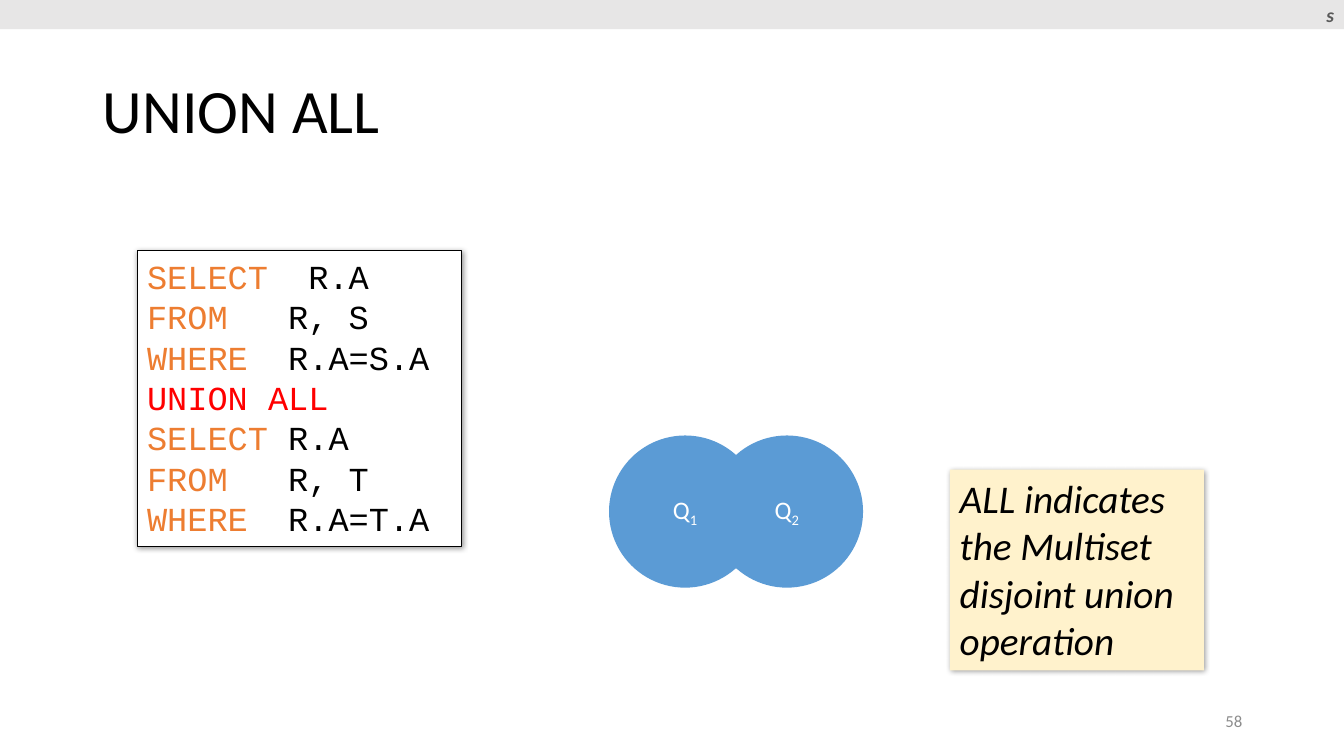
import pptx
import pptx.util
import pptx.dml.color
import pptx.enum.shapes
import pptx.enum.text
import pptx.oxml
import pptx.oxml.ns

Inch = pptx.util.Inches
Kind = pptx.enum.shapes.MSO_SHAPE
Side = pptx.enum.text.PP_ALIGN
Hold = pptx.enum.text.MSO_ANCHOR


class Theme:
    sans, mono = "Calibri", "Courier New"
    black, white, red = "000000", "FFFFFF", "FF0000"
    key, blue, cream = "ED7D31", "5B9BD5", "FFF2CC"
    band, dark, gray = "E7E6E6", "595959", "8C8C8C"
    title, note, code, label, mark, page = 44, 28, 24, 18, 14, 12


def style(run, size, color, face=Theme.sans, bold=False, slant=False):
    font = run.font
    font.name, font.size = face, pptx.util.Pt(size)
    font.bold, font.italic = bold, slant
    font.color.rgb = pptx.dml.color.RGBColor.from_string(color)


def draw(home, kind, box, fill, line=None, lift=False):
    shape = home.add_shape(kind, *[Inch(n) for n in box])
    shape.shadow.inherit = False
    shape.fill.solid()
    shape.fill.fore_color.rgb = pptx.dml.color.RGBColor.from_string(fill)
    if line:
        shape.line.color.rgb = pptx.dml.color.RGBColor.from_string(line)
        shape.line.width = pptx.util.Pt(0.75)
    else:
        shape.line.fill.background()
    if lift:
        glow = shape._element.spPr.find(pptx.oxml.ns.qn("a:effectLst"))
        glow.append(pptx.oxml.parse_xml(
            f'<a:outerShdw {pptx.oxml.ns.nsdecls("a")} blurRad="50800" dist="12700" '
            f'dir="2700000" algn="tl" rotWithShape="0"><a:srgbClr val="{Theme.black}">'
            '<a:alpha val="40000"/></a:srgbClr></a:outerShdw>'))
    shape.text_frame.word_wrap = True
    return shape


deck = pptx.Presentation()
wide, high = 13.33, 7.5
deck.slide_width, deck.slide_height = Inch(wide), Inch(high)
slide = deck.slides.add_slide(deck.slide_layouts[5])
shapes = slide.shapes

# Title
title = shapes.title
title.left, title.top = Inch(0.92), Inch(0.4)
title.width, title.height = Inch(11.5), Inch(1.45)
title.text_frame.text = "UNION ALL"
title.text_frame.vertical_anchor = Hold.MIDDLE
head = title.text_frame.paragraphs[0]
head.alignment, head.line_spacing = Side.LEFT, 0.9
style(head.runs[0], Theme.title, Theme.black)

# Page number
page = shapes.add_textbox(Inch(9.42), Inch(6.95), Inch(3), Inch(0.4)).text_frame
page.word_wrap = True
page.vertical_anchor = Hold.MIDDLE
page.text = "58"
page.paragraphs[0].alignment = Side.RIGHT
style(page.paragraphs[0].runs[0], Theme.page, Theme.gray)

# Query: keyword and the rest of each line
query = [
    ("SELECT", "  R.A"),
    ("FROM", "   R, S"),
    ("WHERE", "  R.A=S.A"),
    ("UNION ALL", ""),
    ("SELECT", " R.A"),
    ("FROM", "   R, T"),
    ("WHERE", "  R.A=T.A"),
]
code = draw(shapes, Kind.RECTANGLE, (1.36, 2.49, 3.22, 2.93),
            Theme.white, Theme.black, lift=True).text_frame
code.vertical_anchor = Hold.TOP
for row, (word, rest) in enumerate(query):
    line = code.add_paragraph() if row else code.paragraphs[0]
    line.alignment = Side.LEFT
    line.text = word
    style(line.runs[0], Theme.code, Theme.key if rest else Theme.red, Theme.mono)
    if rest:
        tail = line.add_run()
        tail.text = rest
        style(tail, Theme.code, Theme.black, Theme.mono)

# Overlapping query results
size, step = 1.51, 1.01
pair = shapes.add_group_shape()
for col in range(2):
    disc = draw(pair.shapes, Kind.OVAL, (6.04 + col * step, 4.32, size, size), Theme.blue)
    disc.text_frame.vertical_anchor = Hold.MIDDLE
    name = disc.text_frame.paragraphs[0]
    name.alignment = Side.CENTER
    name.text = "Q"
    sub = name.add_run()
    sub.text = str(col + 1)
    for run in name.runs:
        style(run, Theme.label, Theme.white)
    sub._r.get_or_add_rPr().set("baseline", "-25000")

# Note
note = draw(shapes, Kind.RECTANGLE, (9.42, 4.66, 2.52, 1.99), Theme.cream, lift=True).text_frame
note.vertical_anchor = Hold.TOP
note.text = "ALL indicates the Multiset disjoint union operation"
note.paragraphs[0].alignment = Side.LEFT
style(note.paragraphs[0].runs[0], Theme.note, Theme.black, slant=True)

# Top band
band = draw(shapes, Kind.RECTANGLE, (0, 0, wide, 0.29), Theme.band).text_frame
band.vertical_anchor = Hold.MIDDLE
band.text = "s"
band.paragraphs[0].alignment = Side.RIGHT
style(band.paragraphs[0].runs[0], Theme.mark, Theme.dark, bold=True, slant=True)

deck.save("out.pptx")
